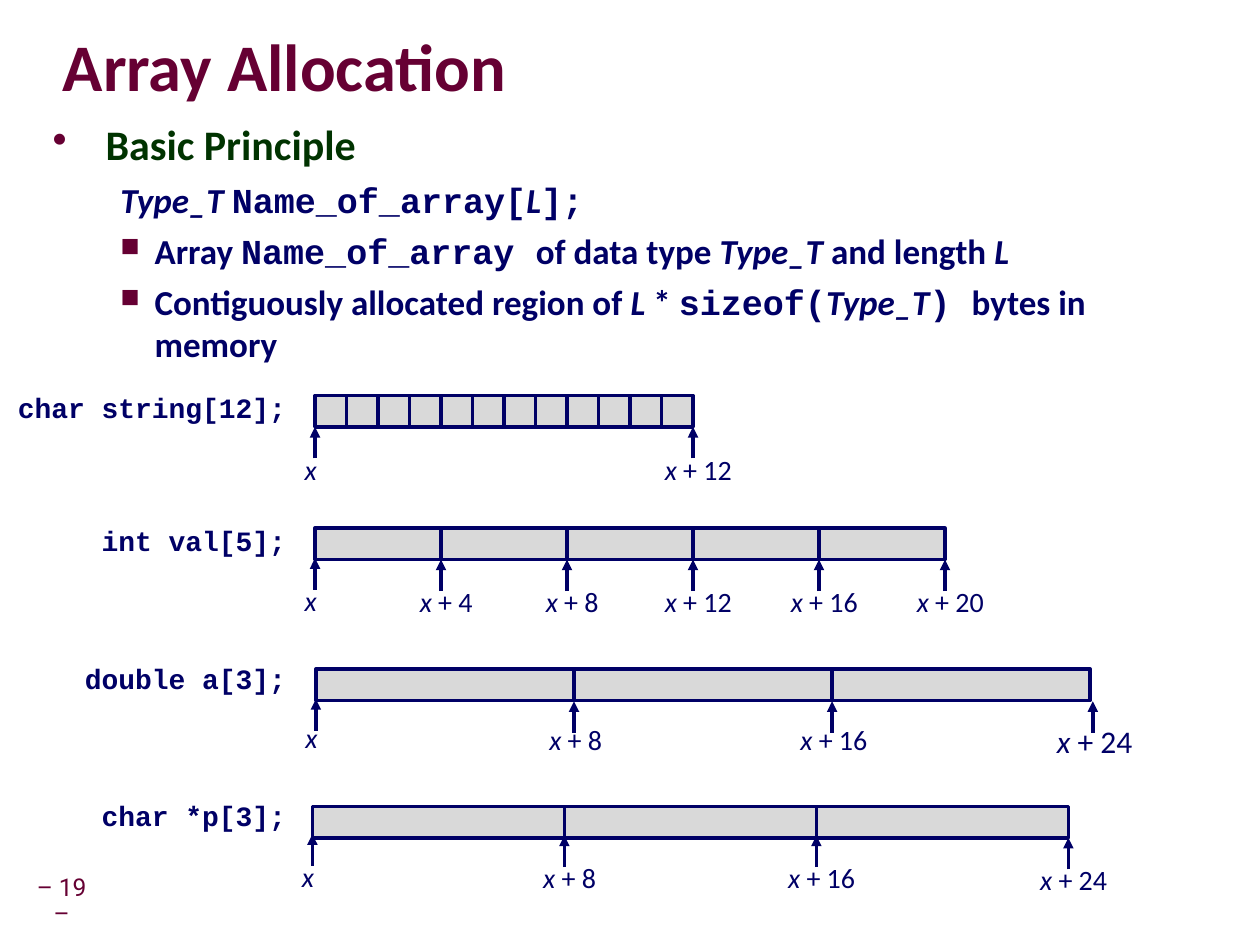
from dataclasses import dataclass

from lxml.etree import SubElement
from pptx import Presentation
from pptx.dml.color import RGBColor
from pptx.enum.shapes import MSO_CONNECTOR, MSO_SHAPE
from pptx.enum.text import MSO_ANCHOR, PP_ALIGN
from pptx.oxml.ns import qn
from pptx.util import Pt


@dataclass(frozen=True)
class Theme:
    maroon: str = "660033"
    green: str = "003300"
    navy: str = "000066"
    grey: str = "D9D9D9"
    sans: str = "Calibri"
    mono: str = "Courier New"
    number: str = "Roboto"
    title_size: float = 38
    head_size: float = 24
    body_size: float = 20
    last_size: float = 18
    label_size: float = 16
    number_size: float = 14
    line: float = 2


T = Theme()


def add_box(shapes, x, y, w, h, inset=(7.2, 3.6), wrap=True, anchor=MSO_ANCHOR.TOP):
    tf = shapes.add_textbox(Pt(x), Pt(y), Pt(w), Pt(h)).text_frame
    tf.word_wrap = wrap
    tf.vertical_anchor = anchor
    tf.margin_left = tf.margin_right = Pt(inset[0])
    tf.margin_top = tf.margin_bottom = Pt(inset[1])
    return tf


def add_run(p, text, size, color=T.navy, font=T.sans, bold=False, italic=False):
    r = p.add_run()
    r.text = text
    r.font.name, r.font.size = font, Pt(size)
    r.font.bold, r.font.italic = bold, italic
    r.font.color.rgb = RGBColor.from_string(color)
    return r


prs = Presentation()
prs.slide_width, prs.slide_height = Pt(720), Pt(540)
s = prs.slides.add_slide(prs.slide_layouts[6])

# Slide number
tf = add_box(s.shapes, 17.25, 504, 36, 22.5, (3.6, 3.6), anchor=MSO_ANCHOR.MIDDLE)
p = tf.paragraphs[0]
p.alignment, p.line_spacing = PP_ALIGN.CENTER, 0.9
add_run(p, "– 19 –", T.number_size, T.maroon, T.number)

# Title with a soft text shadow
tf = add_box(s.shapes, 36, 18, 468, 45, (0, 0), anchor=MSO_ANCHOR.MIDDLE)
p = tf.paragraphs[0]
p.line_spacing = 0.87
r = add_run(p, "Array Allocation", T.title_size, T.maroon, bold=True)
effects = r.font.fill._xPr.makeelement(qn("a:effectLst"), {})
r.font.fill._xPr.find(qn("a:solidFill")).addnext(effects)
shadow = SubElement(effects, qn("a:outerShdw"), blurRad="50800", dist="38100", dir="2700000")
color = SubElement(shadow, qn("a:srgbClr"), val="000000")
SubElement(color, qn("a:alpha"), val="40000")

# Basic principle: bullet, left margin, hanging indent, space before, runs
SANS, MONO, ITALIC = (T.sans, False), (T.mono, False), (T.sans, True)
principle = [
    ("•", 30.25, 30.25, 0, [("Basic Principle", SANS)]),
    (None, 58.25, 19.5, 5, [
        ("Type_T ", ITALIC), ("Name_of_array[", MONO), ("L", ITALIC), ("];", MONO)]),
    ("■", 58.25, 19.5, 5, [
        ("Array ", SANS), ("Name_of_array ", MONO), ("of data type ", SANS),
        ("Type_T ", ITALIC), ("and length ", SANS), ("L", ITALIC)]),
    ("■", 58.25, 19.5, 5, [
        ("Contiguously allocated region of ", SANS), ("L", ITALIC), (" * ", SANS),
        ("sizeof(", MONO), ("Type_T", ITALIC), (") ", MONO), ("bytes in memory", SANS)]),
]
tf = add_box(s.shapes, 23, 66.25, 654.5, 127.5)
for i, (bullet, margin, hang, before, runs) in enumerate(principle):
    p = tf.add_paragraph() if i else tf.paragraphs[0]
    head = i == 0
    p.line_spacing = 0.95 if head else 1.0
    p.space_before = Pt(before)
    pPr = p._p.get_or_add_pPr()
    pPr.set("marL", str(Pt(margin)))
    pPr.set("indent", str(-Pt(hang)))
    if bullet:
        SubElement(SubElement(pPr, qn("a:buClr")), qn("a:srgbClr"), val=T.maroon)
        SubElement(pPr, qn("a:buSzPct"), val="100000" if head else "75000")
        SubElement(pPr, qn("a:buChar"), char=bullet)
    else:
        SubElement(pPr, qn("a:buNone"))
    for text, (font, italic) in runs:
        add_run(p, text, T.head_size if head else T.body_size,
                T.green if head else T.navy, font, True, italic)

# Arrays: declaration, its top, bar left and top, cell width, bytes per cell, cells,
# label shift, label rise, and marks of (cell, arrow drop below bar top)
arrays = [
    ("char string[12];", 221.75, 180, 226, 18, 1, 12, 3, 5,
     [(0, 18), (12, 18)]),
    ("int val[5];", 298, 180, 301.75, 72, 4, 5, 3, 5,
     [(0, 17.25)] + [(k, 18) for k in range(1, 6)]),
    ("double a[3];", 376.5, 180.5, 382.25, 147.5, 8, 3, 1, 7,
     [(0, 17.25), (1, 18.5), (2, 18.5), (3, 18.5)]),
    ("char *p[3];", 455, 178.5, 460.75, 144, 8, 3, 3, 5,
     [(0, 16), (1, 16.75), (2, 16.75), (3, 18)]),
]
for code, code_y, x0, y0, cell, size, count, shift, rise, marks in arrays:
    shapes = s.shapes.add_group_shape().shapes

    # Declaration, ending at a common right edge
    w = 14.4 + 9.6 * len(code)
    p = add_box(shapes, 170.5 - w, code_y, w, 26.5, wrap=False).paragraphs[0]
    p.alignment, p.line_spacing = PP_ALIGN.RIGHT, 0.9
    add_run(p, code, T.label_size, font=T.mono, bold=True)

    # Memory cells
    for k in range(count):
        sp = shapes.add_shape(MSO_SHAPE.RECTANGLE, Pt(x0 + k * cell), Pt(y0), Pt(cell), Pt(18))
        sp.shadow.inherit = False
        sp.fill.solid()
        sp.fill.fore_color.rgb = RGBColor.from_string(T.grey)
        sp.line.color.rgb = RGBColor.from_string(T.navy)
        sp.line.width = Pt(T.line)

    # Address arrows and labels
    for k, drop in marks:
        wide_last = size == 8 and k == 3 and cell > 144
        x = x0 + k * cell + (1.5 if wide_last else 0)
        tip = y0 + drop
        c = shapes.add_connector(MSO_CONNECTOR.STRAIGHT, Pt(x), Pt(tip + 18), Pt(x), Pt(tip))
        c.line.color.rgb = RGBColor.from_string(T.navy)
        c.line.width = Pt(T.line)
        SubElement(c.line._get_or_add_ln(), qn("a:tailEnd"), type="triangle")
        SubElement(c._element.spPr, qn("a:effectLst"))

        w, dx = (78, shift) if k else (31, -2.5)
        p = add_box(shapes, x + dx - w / 2, tip + 18 - rise, w, 26.5).paragraphs[0]
        p.alignment, p.line_spacing = PP_ALIGN.CENTER, 0.9
        pt = T.last_size if wide_last else T.label_size
        add_run(p, "x " if k else "x", pt, italic=True)
        if k:
            add_run(p, f"+ {k * size}", pt)

prs.save("out.pptx")
